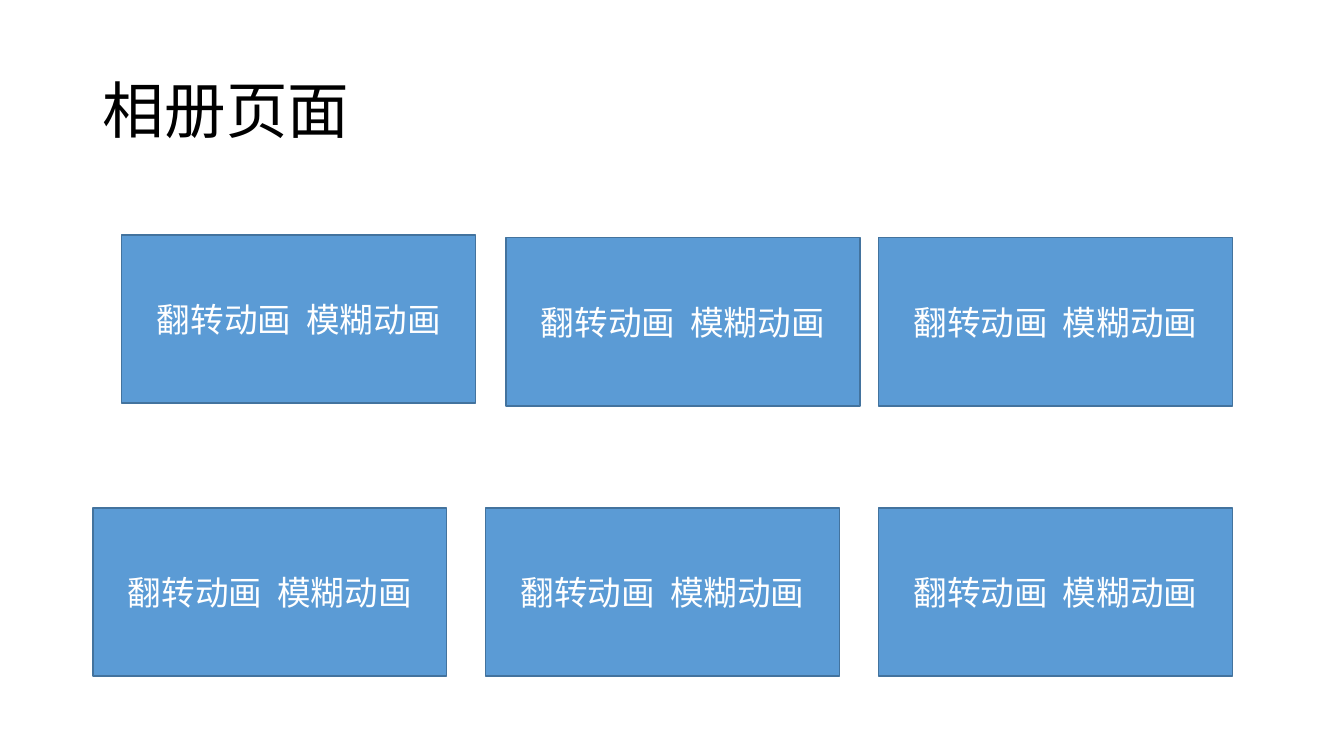
from pptx import Presentation
from pptx.dml.color import RGBColor
from pptx.enum.shapes import MSO_SHAPE as Preset
from pptx.enum.text import MSO_ANCHOR as Anchor, PP_ALIGN as Align
from pptx.oxml.ns import qn
from pptx.util import Cm, Pt
from lxml.etree import SubElement

BLACK = RGBColor(0x00, 0x00, 0x00)
WHITE = RGBColor(0xFF, 0xFF, 0xFF)
BLUE = RGBColor(0x5B, 0x9B, 0xD5)
DARK_BLUE = RGBColor(0x43, 0x73, 0x9E)
FONT = "Noto Sans CJK SC"
TITLE_ONLY = 5


def write(shape, text, size=24, color=WHITE, align=Align.CENTER, spacing=None):
    """Put formatted text, centred vertically, into a shape."""
    frame = shape.text_frame
    frame.word_wrap = True
    frame.vertical_anchor = Anchor.MIDDLE
    para = frame.paragraphs[0]
    para.alignment = align
    para.line_spacing = spacing
    span = para.add_run()
    span.text = text
    span.font.size = Pt(size)
    span.font.name = FONT
    span.font.color.rgb = color
    east_asian = SubElement(span.font._element, qn("a:ea"))
    east_asian.set("typeface", FONT)


class Page:
    """Holds the box style and the current slide."""

    fill, outline, outline_width = BLUE, DARK_BLUE, Pt(1)
    box_width, box_height = Cm(8.92), Cm(4.24)

    def __init__(self, deck):
        """Add a title-only slide to the deck."""
        self.slide = deck.slides.add_slide(deck.slide_layouts[TITLE_ONLY])

    def title(self, text):
        """Place and fill the title placeholder."""
        title = self.slide.shapes.title
        title.left, title.top = Cm(2.34), Cm(1.02)
        title.width, title.height = Cm(29.21), Cm(3.68)
        write(title, text, size=44, color=BLACK, align=Align.LEFT, spacing=0.9)

    def box(self, left, top, text):
        """Draw one album box; left and top are in centimetres."""
        box = self.slide.shapes.add_shape(
            Preset.RECTANGLE, Cm(left), Cm(top), self.box_width, self.box_height)
        box.shadow.inherit = False
        box.fill.solid()
        box.fill.fore_color.rgb = self.fill
        box.line.color.rgb = self.outline
        box.line.width = self.outline_width
        write(box, text)


deck = Presentation()
deck.slide_width, deck.slide_height = Cm(33.87), Cm(19.05)

page = Page(deck)
page.title("相册页面")

upper_row = [(3.07, 5.92), (12.75, 5.99), (22.14, 5.99)]
lower_row = [(2.34 + 9.9 * column, 12.8) for column in range(3)]
for left, top in upper_row + lower_row[::-1]:
    page.box(left, top, "翻转动画  模糊动画")

deck.save("out.pptx")
